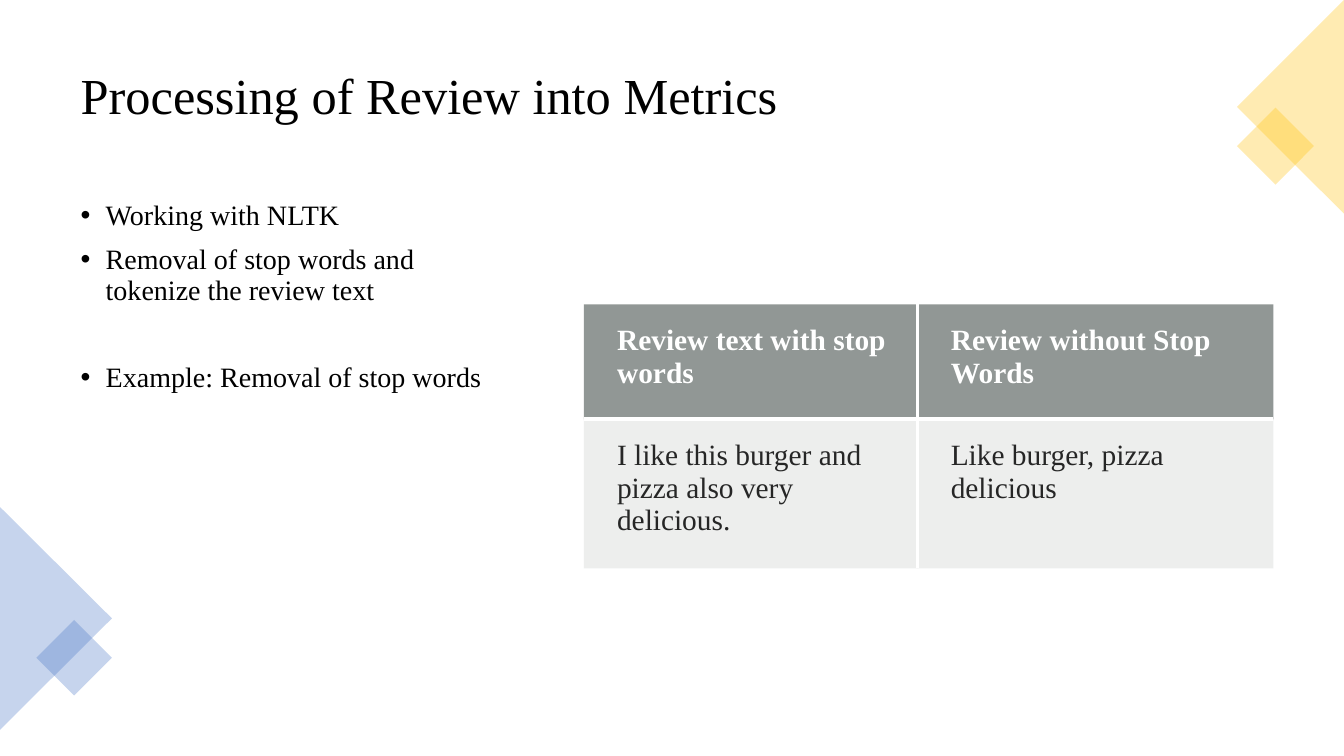
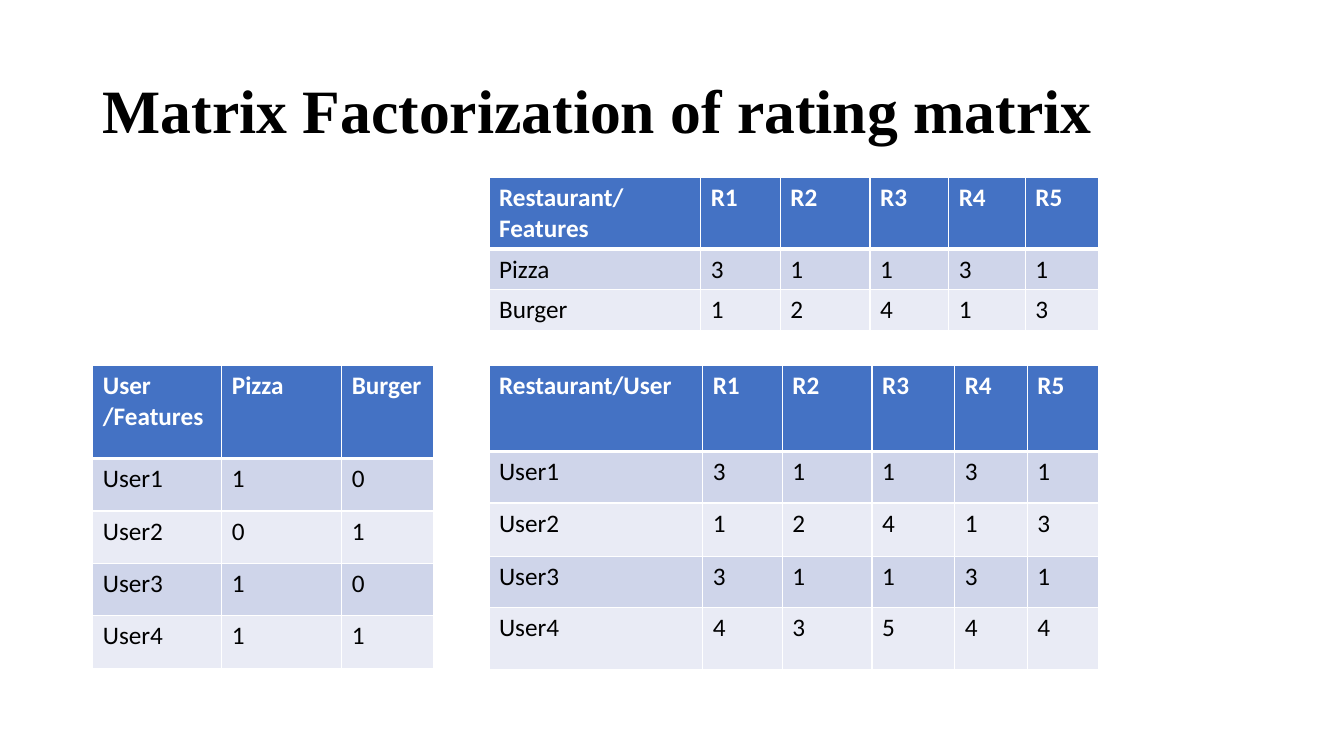
from lxml.etree import SubElement
from pptx import Presentation
from pptx.dml.color import RGBColor
from pptx.enum.shapes import MSO_SHAPE
from pptx.enum.text import MSO_ANCHOR, MSO_AUTO_SIZE, PP_ALIGN
from pptx.oxml.ns import qn
from pptx.util import Inches, Pt

COLORS = {
    "black": "000000", "white": "FFFFFF", "ink": "262626",
    "blue": "4472C4", "gold": "FFC000",
    "slate": "636B68", "mist": "878E8B",
    "band_dark": "CFD5EA", "band_light": "E9EBF5",
}
SERIF = "Times New Roman"
PLAIN_TABLE = "{2D5ABB26-0587-4C30-8999-92F81FD0307C}"
RESTAURANTS = ["R1", "R2", "R3", "R4", "R5"]

# Table looks: fills are (colour, opacity in percent)
REVIEW_LOOK = {
    "font": {"name": SERIF, "size": Pt(21)},
    "head": ("slate", 70), "bands": [("mist", 15)], "ink": "ink",
    "margins": {"margin_left": 0.33, "margin_top": 0.2,
                "margin_right": 0.2, "margin_bottom": 0.2},
    "outer": 0, "inner": 3,
}
MATRIX_LOOK = {
    "font": {"name": "Calibri", "size": Pt(18)},
    "head": ("blue", 100), "ink": "black",
    "bands": [("band_dark", 100), ("band_light", 100)],
    "margins": {}, "outer": 1, "inner": 1,
}


def set_all(target, values):
    for name, value in values.items():
        setattr(target, name, value)


def paint(fill, color, opacity=100):
    fill.solid()
    fill.fore_color.rgb = RGBColor.from_string(COLORS[color])
    if opacity < 100:
        for tint in fill._xPr.iter(qn("a:srgbClr")):
            SubElement(tint, qn("a:alpha"), val=str(opacity * 1000))


def style_text(frame, color, **font):
    for para in frame.paragraphs:
        for span in para.runs:
            set_all(span.font, font)
            span.font.color.rgb = RGBColor.from_string(COLORS[color])


def add_page(deck, title, place, size, bold=False):
    """Add a title-only page with a left-aligned serif title."""
    page = deck.slides.add_slide(deck.slide_layouts[5])
    box = page.shapes.title
    set_all(box, dict(zip(("left", "top", "width", "height"), map(Inches, place))))
    frame = box.text_frame
    frame.text = title
    set_all(frame, {"word_wrap": True, "auto_size": MSO_AUTO_SIZE.NONE,
                    "vertical_anchor": MSO_ANCHOR.MIDDLE})
    set_all(frame.paragraphs[0], {"alignment": PP_ALIGN.LEFT, "line_spacing": 0.9})
    style_text(frame, "black", name=SERIF, size=Pt(size), bold=bold)
    return page


def add_bullets(page, place, items):
    """Each item is (text, space before in points)."""
    frame = page.shapes.add_textbox(*map(Inches, place)).text_frame
    frame.word_wrap = True
    frame.text = "\n".join(text for text, _ in items)
    for para, (_, space) in zip(frame.paragraphs, items):
        properties = para._p.get_or_add_pPr()
        properties.set("marL", str(Inches(0.25)))
        properties.set("indent", str(Inches(-0.25)))
        SubElement(properties, qn("a:buFont"), typeface="Arial")
        SubElement(properties, qn("a:buChar"), char="•")
        set_all(para, {"line_spacing": 0.9, "space_before": Pt(space)})
    style_text(frame, "black", name=SERIF, size=Pt(20))


def add_corner(page, color, pieces):
    """Group translucent pieces, each (preset, place, rotation)."""
    group = page.shapes.add_group_shape()
    for preset, place, rotation in pieces:
        shape = group.shapes.add_shape(preset, *map(Inches, place))
        shape.rotation = rotation
        shape.shadow.inherit = False
        shape.line.fill.background()
        paint(shape.fill, color, 30)


def add_borders(cell, widths):
    """Draw white borders; widths are points for left, right, top, bottom."""
    properties = cell._tc.get_or_add_tcPr()
    for index, (side, width) in enumerate(zip("LRTB", widths)):
        line = SubElement(properties, qn(f"a:ln{side}"), w=str(Pt(width)))
        if width:
            fill = SubElement(line, qn("a:solidFill"))
            SubElement(fill, qn("a:srgbClr"), val=COLORS["white"])
        else:
            SubElement(line, qn("a:noFill"))
        properties.insert(index, line)


def add_grid(page, corner, widths, heights, rows, look):
    place = (*corner, sum(widths), sum(heights))
    table = page.shapes.add_table(len(rows), len(widths), *map(Inches, place)).table
    table._tbl.tblPr.find(qn("a:tableStyleId")).text = PLAIN_TABLE
    for column, width in zip(table.columns, widths):
        column.width = Inches(width)
    for line, height in zip(table.rows, heights):
        line.height = Inches(height)

    outer, inner = look["outer"], look["inner"]
    last_row, last_column = len(rows) - 1, len(widths) - 1
    for r, row in enumerate(rows):
        head = r == 0
        fill = look["head"] if head else look["bands"][(r - 1) % len(look["bands"])]
        top = outer if head else 3 if r == 1 else inner
        bottom = 3 if head else outer if r == last_row else inner
        for c, text in enumerate(row):
            cell = table.cell(r, c)
            cell.text = str(text)
            set_all(cell, {side: Inches(gap) for side, gap in look["margins"].items()})
            style_text(cell.text_frame, "white" if head else look["ink"],
                       bold=head, **look["font"])
            paint(cell.fill, *fill)
            add_borders(cell, (inner if c else outer,
                               outer if c == last_column else inner, top, bottom))


def add_review_page(deck):
    page = add_page(deck, "Processing of Review into Metrics",
                    (0.7, 0.35, 11.93, 1.24), 36)
    add_bullets(page, (0.7, 1.95, 4.38, 4.81), [
        ("Working with NLTK", 0),
        ("Removal of stop words and tokenize the review text", 10),
        ("Example: Removal of stop words", 41),
    ])
    # Corner ornaments
    triangle, square = MSO_SHAPE.ISOSCELES_TRIANGLE, MSO_SHAPE.RECTANGLE
    add_corner(page, "blue", [(triangle, (-0.55, 5.58, 2.21, 1.11), 90),
                              (square, (0.47, 6.26, 0.53, 0.53), 45)])
    add_corner(page, "gold", [(square, (12.38, 1.18, 0.54, 0.54), 45),
                              (triangle, (11.74, 0.53, 2.12, 1.06), 270)])
    add_grid(page, (5.79, 3.02), [3.31, 3.53], [1.14, 1.48], [
        ["Review text with stop words", "Review without Stop Words"],
        ["I like this burger and pizza also very delicious.",
         "Like burger, pizza delicious"],
    ], REVIEW_LOOK)


def add_matrix_page(deck):
    page = add_page(deck, "Matrix Factorization of rating matrix",
                    (0.92, 0.4, 11.5, 1.45), 44, bold=True)
    # User factors
    add_grid(page, (0.92, 3.63), [1.28, 1.19, 0.91], [0.92] + [0.52] * 4, [
        ["User /Features", "Pizza", "Burger"],
        ["User1", 1, 0],
        ["User2", 0, 1],
        ["User3", 1, 0],
        ["User4", 1, 1],
    ], MATRIX_LOOK)
    # Restaurant factors
    add_grid(page, (4.85, 1.76), [2.1, 0.79, 0.89, 0.78, 0.76, 0.73],
             [0.7, 0.4, 0.4], [
        ["Restaurant/\nFeatures", *RESTAURANTS],
        ["Pizza", 3, 1, 1, 3, 1],
        ["Burger", 1, 2, 4, 1, 3],
    ], MATRIX_LOOK)
    # Ratings
    add_grid(page, (4.85, 3.63), [2.12, 0.79, 0.89, 0.82, 0.72, 0.71],
             [0.85, 0.51, 0.53, 0.51, 0.61], [
        ["Restaurant/User", *RESTAURANTS],
        ["User1", 3, 1, 1, 3, 1],
        ["User2", 1, 2, 4, 1, 3],
        ["User3", 3, 1, 1, 3, 1],
        ["User4", 4, 3, 5, 4, 4],
    ], MATRIX_LOOK)


def main():
    deck = Presentation()
    set_all(deck, {"slide_width": Inches(13.33), "slide_height": Inches(7.5)})
    add_review_page(deck)
    add_matrix_page(deck)
    deck.save("out.pptx")


if __name__ == "__main__":
    main()
